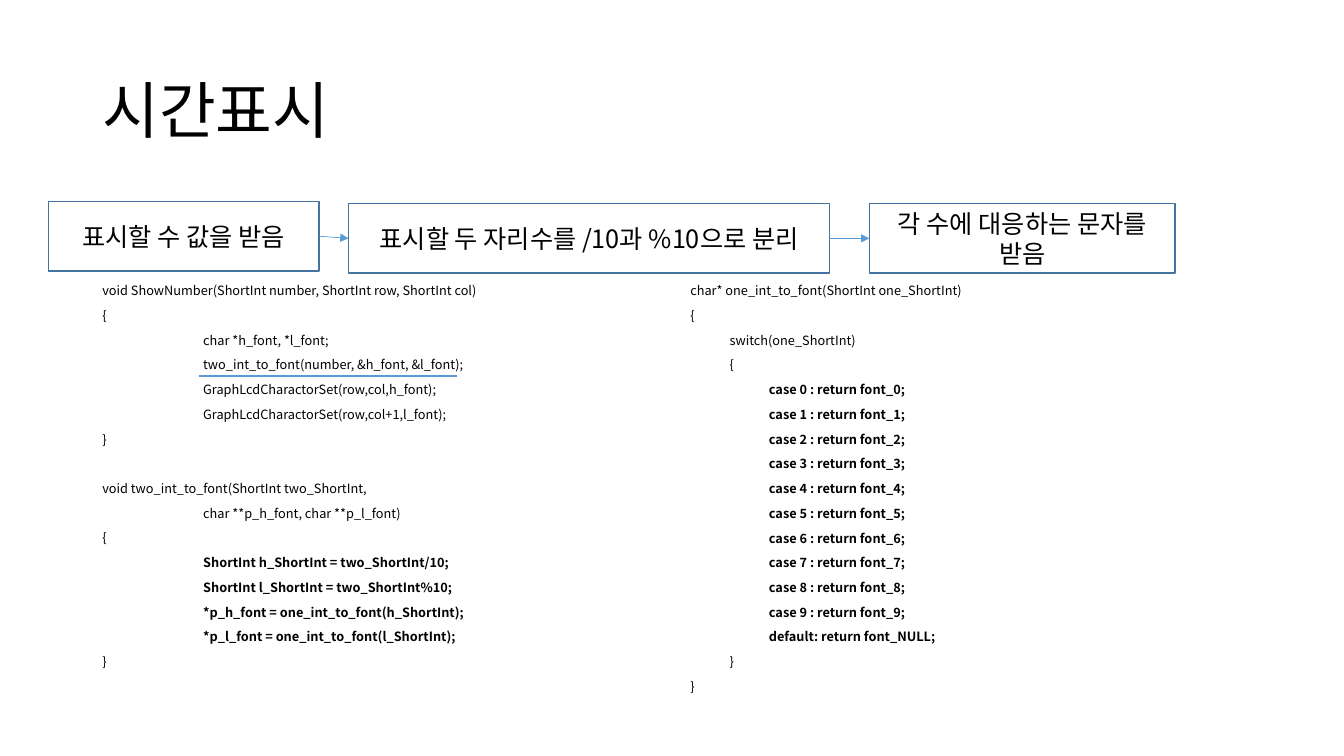
import pptx
import pptx.dml.color
import pptx.enum.shapes
import pptx.enum.text
import pptx.oxml.ns
import pptx.util
from lxml import etree

FONT = "Noto Sans CJK KR"
COLS, ROWS = 160, 90
CELL = pptx.util.Inches(13.33) / COLS
BLUE, EDGE = "5B9BD5", "43739E"
PITCH, GAP = 17.64, 10  # code line pitch and space before, in points

# Each code line: indent level, bold, text
SHOW = [
    (0, False, "void ShowNumber(ShortInt number, ShortInt row, ShortInt col)"),
    (0, False, "{"),
    (1, False, "char *h_font, *l_font;"),
    (1, False, "two_int_to_font(number, &h_font, &l_font);"),
    (1, False, "GraphLcdCharactorSet(row,col,h_font);"),
    (1, False, "GraphLcdCharactorSet(row,col+1,l_font);"),
    (0, False, "}"),
]
SPLIT = [
    (0, False, "void two_int_to_font(ShortInt two_ShortInt,"),
    (1, False, "char **p_h_font, char **p_l_font)"),
    (0, False, "{"),
    (1, True, "ShortInt h_ShortInt = two_ShortInt/10;"),
    (1, True, "ShortInt l_ShortInt = two_ShortInt%10;"),
    (1, True, "*p_h_font = one_int_to_font(h_ShortInt);"),
    (1, True, "*p_l_font = one_int_to_font(l_ShortInt);"),
    (0, False, "}"),
]
LOOKUP = [
    (0, False, "char* one_int_to_font(ShortInt one_ShortInt)"),
    (0, False, "{"),
    (1, False, "switch(one_ShortInt)"),
    (1, False, "{"),
    *[(2, True, f"case {n} : return font_{n};") for n in range(10)],
    (2, True, "default: return font_NULL;"),
    (1, False, "}"),
    (0, False, "}"),
]
# Each step: left, top, width, text
STEPS = [
    (5.75, 24, 32.25, "표시할 수 값을 받음"),
    (41.5, 24.25, 57.25, "표시할 두 자리수를 /10과 %10으로 분리"),
    (103.5, 24.25, 36.4, "각 수에 대응하는 문자를 받음"),
]
STEP_H = 8.25


def grid(*cells):
    return [round(cell * CELL) for cell in cells]


def color(code):
    return pptx.dml.color.RGBColor.from_string(code)


def style(para, size, bold=False):
    font = para.font
    font.name, font.size, font.bold = FONT, pptx.util.Pt(size), bold
    font.color.rgb = color("000000")
    # Korean letters take the East Asian font
    props = para._p.pPr.find(pptx.oxml.ns.qn("a:defRPr"))
    etree.SubElement(props, pptx.oxml.ns.qn("a:ea"), typeface=FONT)


def text_box(slide, *area):
    frame = slide.shapes.add_textbox(*grid(*area)).text_frame
    frame.word_wrap = True
    return frame


def title(slide, text):
    frame = text_box(slide, 11, 4.8, 138, 17.4)
    frame.vertical_anchor = pptx.enum.text.MSO_ANCHOR.MIDDLE
    para = frame.paragraphs[0]
    para.text, para.line_spacing = text, 0.9
    style(para, 44)


def code(slide, area, indent, *blocks):
    frame = text_box(slide, *area)
    for b, block in enumerate(blocks):
        for n, (level, bold, text) in enumerate(block):
            first = b == n == 0
            para = frame.paragraphs[0] if first else frame.add_paragraph()
            para.text, para.line_spacing = text, 0.7
            # A new function starts one line lower
            space = 0 if first else GAP + PITCH if n == 0 else GAP
            para.space_before = pptx.util.Pt(space)
            left = pptx.util.Inches(indent * level)
            para._p.get_or_add_pPr().set("marL", str(left))
            style(para, 9.1, bold)


def step(slide, left, top, width, text):
    rect = pptx.enum.shapes.MSO_SHAPE.RECTANGLE
    box = slide.shapes.add_shape(rect, *grid(left, top, width, STEP_H))
    box.shadow.inherit = False
    box.fill.solid()
    box.fill.fore_color.rgb = color("FFFFFF")
    box.line.color.rgb = color(EDGE)
    box.line.width = pptx.util.Pt(1)
    frame = box.text_frame
    frame.word_wrap = True
    frame.vertical_anchor = pptx.enum.text.MSO_ANCHOR.MIDDLE
    para = frame.paragraphs[0]
    para.text, para.alignment = text, pptx.enum.text.PP_ALIGN.CENTER
    style(para, 18)


def line(slide, ends, width, arrow=False):
    kind = pptx.enum.shapes.MSO_CONNECTOR.STRAIGHT
    link = slide.shapes.add_connector(kind, *grid(*ends))
    link.line.color.rgb = color(BLUE)
    link.line.width = pptx.util.Pt(width)
    qn = pptx.oxml.ns.qn
    if arrow:
        etree.SubElement(link.line._get_or_add_ln(), qn("a:tailEnd"), type="triangle")
    etree.SubElement(link._element.spPr, qn("a:effectLst"))


def main():
    deck = pptx.Presentation()
    deck.slide_width, deck.slide_height = grid(COLS, ROWS)
    slide = deck.slides.add_slide(deck.slide_layouts[6])

    # Title and code listings
    title(slide, "시간표시")
    code(slide, (11, 33.6, 60.5, 47.2), 1, SHOW, SPLIT)
    code(slide, (81, 33.6, 68, 55), 0.39, LOOKUP)

    # Steps joined by arrows
    for item in STEPS:
        step(slide, *item)
    for (left, top, width, _), (after, below, _, _) in zip(STEPS, STEPS[1:]):
        half = STEP_H / 2
        line(slide, (left + width, top + half, after, below + half), 0.5, True)

    # Underline of the call that splits the number
    line(slide, (23.75, 44.75, 54.4, 44.75), 1.5)

    deck.save("out.pptx")


if __name__ == "__main__":
    main()
